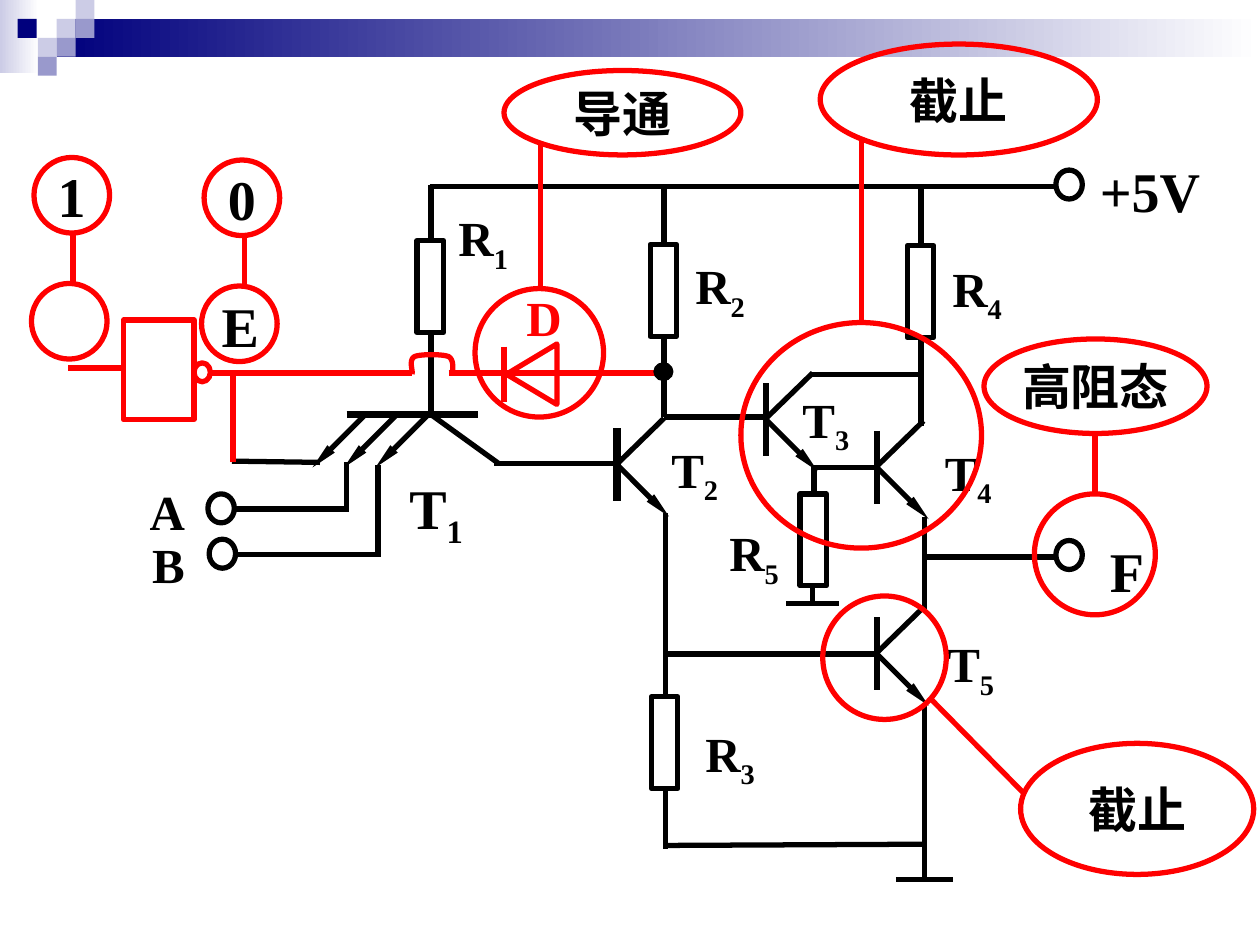
from dataclasses import dataclass

from lxml import etree
from pptx import Presentation
from pptx import util as u
from pptx.dml.color import RGBColor
from pptx.enum import shapes, text
from pptx.oxml import ns

PX = 9144  # 100 px to the inch
KIND = shapes.MSO_SHAPE


@dataclass(frozen=True)
class Theme:
    ink: str = "000000"
    red: str = "FF0000"
    navy: str = "00007D"
    lilac: str = "9999CC"
    pale: str = "CCCCE6"
    white: str = "FFFFFF"
    font: str = "Times New Roman"
    big: int = 32
    mid: int = 28
    thin: float = 0.75
    line: float = 3
    bar: float = 4.5


T = Theme()

# Left, top of each resistor
RESISTORS = [(331, 191), (516, 194), (517, 553), (720, 195), (635, 392)]

# Base point and bar weight of each single transistor
TRANSISTORS = [(490, 369, T.bar), (608, 333, T.line),
               (696, 371, T.line), (696, 519, T.line)]

# Left, top of each open terminal
TERMINALS = [(838, 135), (838, 429), (165, 392), (166, 428)]

WIRES = [
    # supply rail and its branches
    (341, 148, 839, 148), (342, 190, 342, 147), (527, 194, 527, 147),
    (731, 196, 731, 148),
    # first to second transistor
    (342, 329, 342, 265), (342, 329, 396, 368), (392, 368, 490, 368),
    (527, 331, 527, 267), (608, 331, 527, 331),
    # output pair
    (644, 371, 696, 371), (644, 297, 731, 297), (731, 338, 731, 297),
    (731, 304, 731, 268), (646, 369, 646, 392), (645, 464, 645, 480),
    (624, 479, 666, 479),
    # lower stage and ground
    (528, 407, 528, 553), (695, 519, 528, 519), (528, 625, 528, 674),
    (528, 671, 734, 670), (734, 410, 734, 484), (734, 558, 734, 699),
    (711, 698, 756, 698), (734, 442, 838, 442),
    # inputs
    (254, 367, 184, 366), (275, 367, 275, 406), (275, 404, 186, 404),
    (300, 369, 300, 442), (302, 440, 188, 440),
]

# Enable path and diode bar
RED_WIRES = [(185, 367, 185, 296), (356, 296, 527, 296), (400, 275, 400, 319),
             (327, 296, 165, 296), (98, 292, 54, 292)]

# Left, top, width, height, name, index, size, colour
LABELS = [
    (863, 115, 138, 63, "+5V", "", T.big, T.ink),
    (871, 417, 81, 63, "F", "", T.big, T.ink),
    (354, 156, 115, 57, "R", "1", T.mid, T.ink),
    (542, 194, 115, 57, "R", "2", T.mid, T.ink),
    (550, 565, 113, 57, "R", "3", T.mid, T.ink),
    (746, 196, 115, 57, "R", "4", T.mid, T.ink),
    (569, 406, 69, 57, "R", "5", T.mid, T.ink),
    (315, 367, 79, 63, "T", "1", T.big, T.ink),
    (523, 340, 67, 57, "T", "2", T.mid, T.ink),
    (627, 300, 108, 57, "T", "3", T.mid, T.ink),
    (740, 342, 73, 57, "T", "4", T.mid, T.ink),
    (742, 494, 73, 57, "T", "5", T.mid, T.ink),
    (109, 373, 77, 57, "A", "", T.mid, T.ink),
    (111, 415, 77, 57, "B", "", T.mid, T.ink),
    (408, 219, 50, 57, "D", "", T.mid, T.red),
    (166, 222, 65, 63, "E", "", T.big, T.ink),
]

# Ringed area, lead, note area, note, size
CALLOUTS = [
    ((25, 225, 60, 60), (58, 225, 58, 183), (27, 125, 60, 60), "1", T.big),
    ((160, 227, 60, 60), (194, 227, 194, 185), (162, 127, 60, 60), "0", T.big),
    ((377, 229, 102, 102), (429, 227, 429, 112), (400, 56, 188, 67), "导通", T.mid),
    ((588, 256, 191, 179), (684, 256, 684, 110), (651, 35, 220, 88), "截止", T.mid),
    ((653, 473, 98, 98), (738, 554, 812, 629), (810, 590, 185, 104), "截止", T.mid),
    ((821, 392, 96, 96), (869, 392, 869, 346), (781, 269, 177, 75), "高阻态", T.mid),
]

# Left, top, colour of the corner tiles
TILES = [(45, 15, T.pale), (60, 0, T.pale), (60, 15, T.lilac), (30, 30, T.pale),
         (14, 15, T.navy), (45, 30, T.lilac), (30, 45, T.lilac)]


def emu(*vals):
    return [round(v * PX) for v in vals]


def rgb(code):
    return RGBColor.from_string(code)


def stroke(line, tone, width):
    line.color.rgb = rgb(tone)
    line.width = u.Pt(width)


def shape(slide, kind, box, tone=None, width=T.line, fill=None):
    """Add a preset shape; no tone means no outline, no fill means hollow."""
    item = slide.shapes.add_shape(kind, *emu(*box))
    item.shadow.inherit = False
    if fill:
        item.fill.solid()
        item.fill.fore_color.rgb = rgb(fill)
    else:
        item.fill.background()
    if tone:
        stroke(item.line, tone, width)
    else:
        item.line.fill.background()
    return item


def wire(slide, ends, tone=T.ink, width=T.line, arrow=False):
    item = slide.shapes.add_connector(shapes.MSO_CONNECTOR.STRAIGHT, *emu(*ends))
    stroke(item.line, tone, width)
    if arrow:
        etree.SubElement(item.line._get_or_add_ln(), ns.qn("a:tailEnd"),
                         type="triangle", w="sm", len="lg")
    etree.SubElement(item._element.spPr, ns.qn("a:effectLst"))


def write(para, words, size, tone=T.ink):
    run = para.add_run()
    run.text = words
    look = {"name": T.font, "size": u.Pt(size), "bold": True}
    for key, val in look.items():
        setattr(run.font, key, val)
    run.font.color.rgb = rgb(tone)
    return run


def label(slide, box, name, index, size, tone):
    frame = slide.shapes.add_textbox(*emu(*box)).text_frame
    frame.word_wrap = True
    frame.margin_top = 9 * PX
    para = frame.paragraphs[0]
    write(para, name, size, tone)
    if index:
        run = write(para, index, size, tone)
        run.font._element.set("baseline", "-25000")


def callout(slide, ring, lead, box, words, size):
    shape(slide, KIND.OVAL, ring, T.red)
    wire(slide, lead, T.red)
    frame = shape(slide, KIND.OVAL, box, T.red).text_frame
    frame.word_wrap = False
    frame.vertical_anchor = text.MSO_ANCHOR.MIDDLE
    para = frame.paragraphs[0]
    para.alignment = text.PP_ALIGN.CENTER
    write(para, words, size)


def fade(slide, box, tone):
    """Add a rectangle that fades to white on the right."""
    fill = shape(slide, KIND.RECTANGLE, box).fill
    fill.gradient()
    fill.gradient_angle = 0
    for stop, code in zip(fill.gradient_stops, (tone, T.white)):
        stop.color.rgb = rgb(code)


def bend(a, b, c, d, steps=10):
    """Points along a cubic curve, after its start."""
    for i in range(1, steps + 1):
        t = i / steps
        s = 1 - t
        yield emu(*(s**3 * p + 3 * s * s * t * q + 3 * s * t * t * r + t**3 * e
                    for p, q, r, e in zip(a, b, c, d)))


def hop(slide):
    """Carry the enable wire over the first base lead."""
    knots = [(327, 297), (328, 294), (324, 286), (329, 283), (334, 281),
             (351, 281), (356, 283), (361, 286), (359, 294), (359, 297)]
    path = slide.shapes.build_freeform(*emu(*knots[0]), scale=1.0)
    for i in range(0, 9, 3):
        path.add_line_segments(list(bend(*knots[i:i + 4])), close=False)
    item = path.convert_to_shape()
    item.shadow.inherit = False
    item.fill.background()
    stroke(item.line, T.red, T.line)


def banner(slide):
    fade(slide, (0, 0, 31, 58), T.pale)
    fade(slide, (45, 15, 955, 30), T.navy)
    for x, y, tone in TILES:
        shape(slide, KIND.RECTANGLE, (x, y, 15, 15), fill=tone)


def single(slide, x, y, width):
    """Draw a transistor with one emitter."""
    wire(slide, (x, y - 29, x, y + 29), width=width)
    wire(slide, (x, y, x + 41, y + 41), arrow=True)
    wire(slide, (x, y - 1, x + 37, y - 37))


def multi(slide):
    """Draw the three-emitter input transistor."""
    wire(slide, (275, 329, 379, 329), width=T.bar)
    for x in (340, 315, 290):
        wire(slide, (x, 329, x - 42, 371), arrow=True)


def enable(slide):
    """Draw the inverter, the diode and the red wiring."""
    for ends in RED_WIRES:
        wire(slide, ends, T.red)
    hop(slide)
    shape(slide, KIND.ISOSCELES_TRIANGLE, (398, 277, 48, 40), T.red).rotation = 270
    shape(slide, KIND.RECTANGLE, (98, 254, 56, 79), T.red)
    shape(slide, KIND.OVAL, (154, 288, 13, 15), T.red)


def main():
    deck = Presentation()
    deck.slide_width, deck.slide_height = emu(1000, 750)
    slide = deck.slides.add_slide(deck.slide_layouts[6])
    banner(slide)
    multi(slide)
    for spot in TRANSISTORS:
        single(slide, *spot)
    for x, y in RESISTORS:
        shape(slide, KIND.RECTANGLE, (x, y, 21, 73), T.ink)
    for ends in WIRES:
        wire(slide, ends)
    for x, y in TERMINALS:
        shape(slide, KIND.OVAL, (x, y, 21, 23), T.ink)
    enable(slide)
    for *box, name, index, size, tone in LABELS:
        label(slide, box, name, index, size, tone)
    for note in CALLOUTS:
        callout(slide, *note)
    shape(slide, KIND.OVAL, (519, 288, 15, 14), T.ink, T.thin, T.ink)
    deck.save("out.pptx")


if __name__ == "__main__":
    main()
